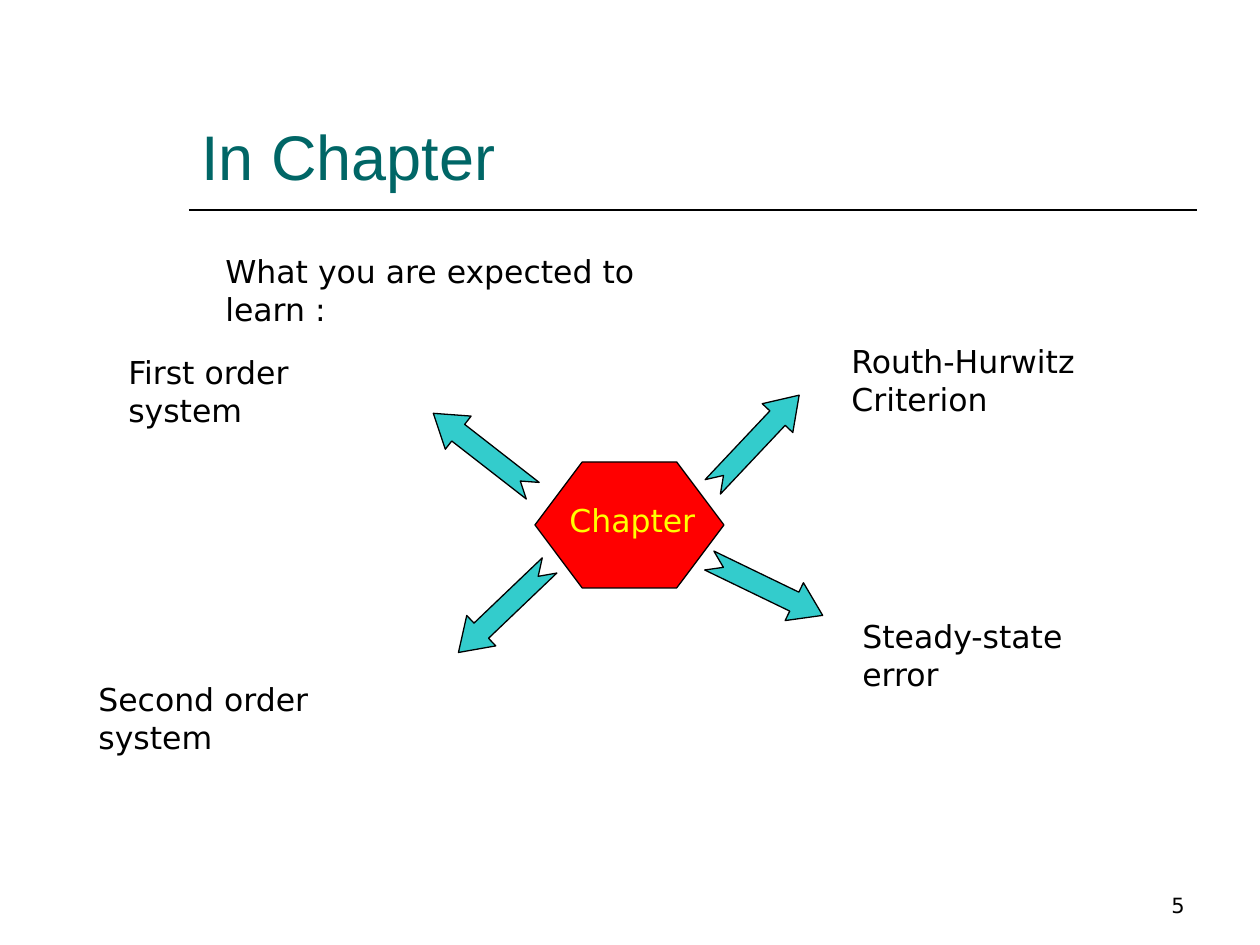
from lxml import etree
from pptx import Presentation
from pptx.dml.color import RGBColor
from pptx.enum.shapes import MSO_CONNECTOR, MSO_SHAPE
from pptx.enum.text import MSO_ANCHOR, PP_ALIGN
from pptx.oxml.ns import qn
from pptx.util import Pt

HEXAGON, ARROW = MSO_SHAPE.HEXAGON, MSO_SHAPE.NOTCHED_RIGHT_ARROW
STRAIGHT = MSO_CONNECTOR.STRAIGHT
TOP, BOTTOM = MSO_ANCHOR.TOP, MSO_ANCHOR.BOTTOM
LEFT, RIGHT = PP_ALIGN.LEFT, PP_ALIGN.RIGHT
EMU_PER_PX = 914400 // 126

BLACK, TEAL, RED, YELLOW, TURQUOISE = "000000", "006666", "FF0000", "FFFF00", "33CCCC"
HEADING_FONT, BODY_FONT = "Arial", "DejaVu Sans"

TITLE = ("In Chapter", (189, 42, 1008, 157))
PAGE_NUMBER = ("5", (903, 861, 294, 63))
RULE = (189, 210, 1197, 210)
HUB = (535, 462, 189, 126)
HUB_LABEL = ("Chapter", (557, 495, 151, 50))
LABEL_HEIGHT = 50
LABELS = [
    ("What you are expected to learn :", 213, 246, 505),
    ("First order system", 116, 347, 292),
    ("Second order system", 86, 674, 336),
    ("Routh-Hurwitz Criterion", 839, 336, 377),
    ("Steady-state error", 850, 611, 292),
]
ARROW_SIZE = (126, 42)
ARROWS = [(693, 420, 313.3), (420, 431, 217.9), (441, 588, 136.3), (703, 567, 25.8)]


def px(*lengths):
    return [length * EMU_PER_PX for length in lengths]


def color(value):
    return RGBColor.from_string(value)


def add_text(slide, text, box, size=18, font=BODY_FONT, ink=BLACK,
             anchor=TOP, align=LEFT, wrap=True):
    frame = slide.shapes.add_textbox(*px(*box)).text_frame
    frame.word_wrap = wrap
    frame.vertical_anchor = anchor
    paragraph = frame.paragraphs[0]
    paragraph.alignment = align
    run = paragraph.add_run()
    run.text = text
    run.font.size = Pt(size)
    run.font.name = font
    run.font.color.rgb = color(ink)


def add_figure(slide, kind, box, fill, adjustments, rotation=0):
    figure = slide.shapes.add_shape(kind, *px(*box))
    figure.shadow.inherit = False
    figure.fill.solid()
    figure.fill.fore_color.rgb = color(fill)
    figure.line.color.rgb = color(BLACK)
    figure.line.width = Pt(0.75)
    figure.rotation = rotation
    for index, value in enumerate(adjustments):
        figure.adjustments[index] = value


def add_rule(slide, ends):
    rule = slide.shapes.add_connector(STRAIGHT, *px(*ends))
    rule.line.color.rgb = color(BLACK)
    rule.line.width = Pt(1)
    etree.SubElement(rule._element.spPr, qn("a:effectLst"))


def main():
    deck = Presentation()
    deck.slide_width, deck.slide_height = px(1260, 945)
    slide = deck.slides.add_slide(deck.slide_layouts[6])

    add_rule(slide, RULE)
    add_text(slide, *PAGE_NUMBER, size=12, anchor=BOTTOM, align=RIGHT)
    add_figure(slide, HEXAGON, HUB, RED, [0.375, 1.155])
    add_text(slide, *TITLE, size=36, font=HEADING_FONT, ink=TEAL, anchor=BOTTOM)
    for text, left, top, width in LABELS:
        add_text(slide, text, (left, top, width, LABEL_HEIGHT))
    add_text(slide, *HUB_LABEL, ink=YELLOW, wrap=False)
    for left, top, angle in ARROWS:
        add_figure(slide, ARROW, (left, top, *ARROW_SIZE), TURQUOISE, [0.5, 0.75], angle)

    deck.save("out.pptx")


if __name__ == "__main__":
    main()
